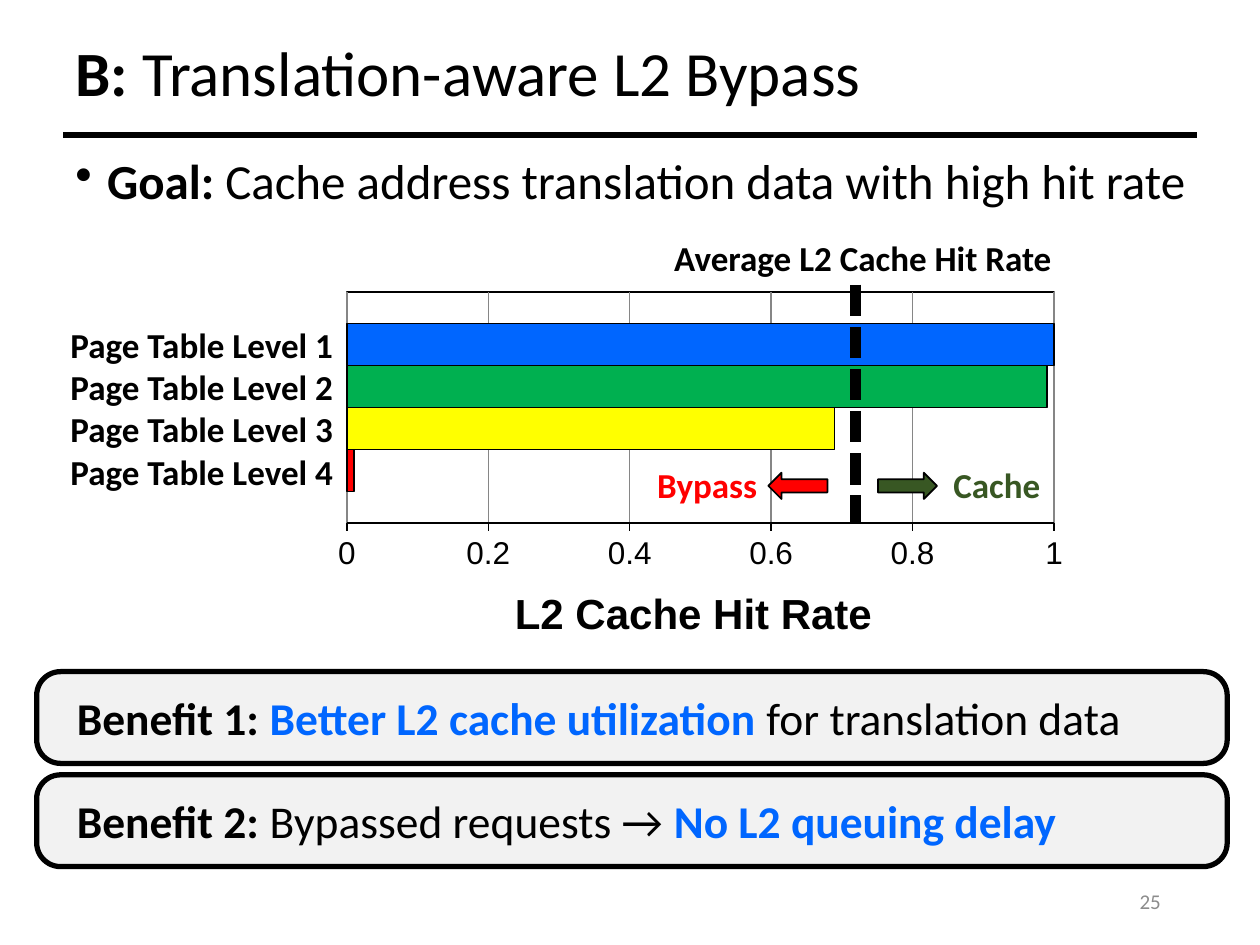
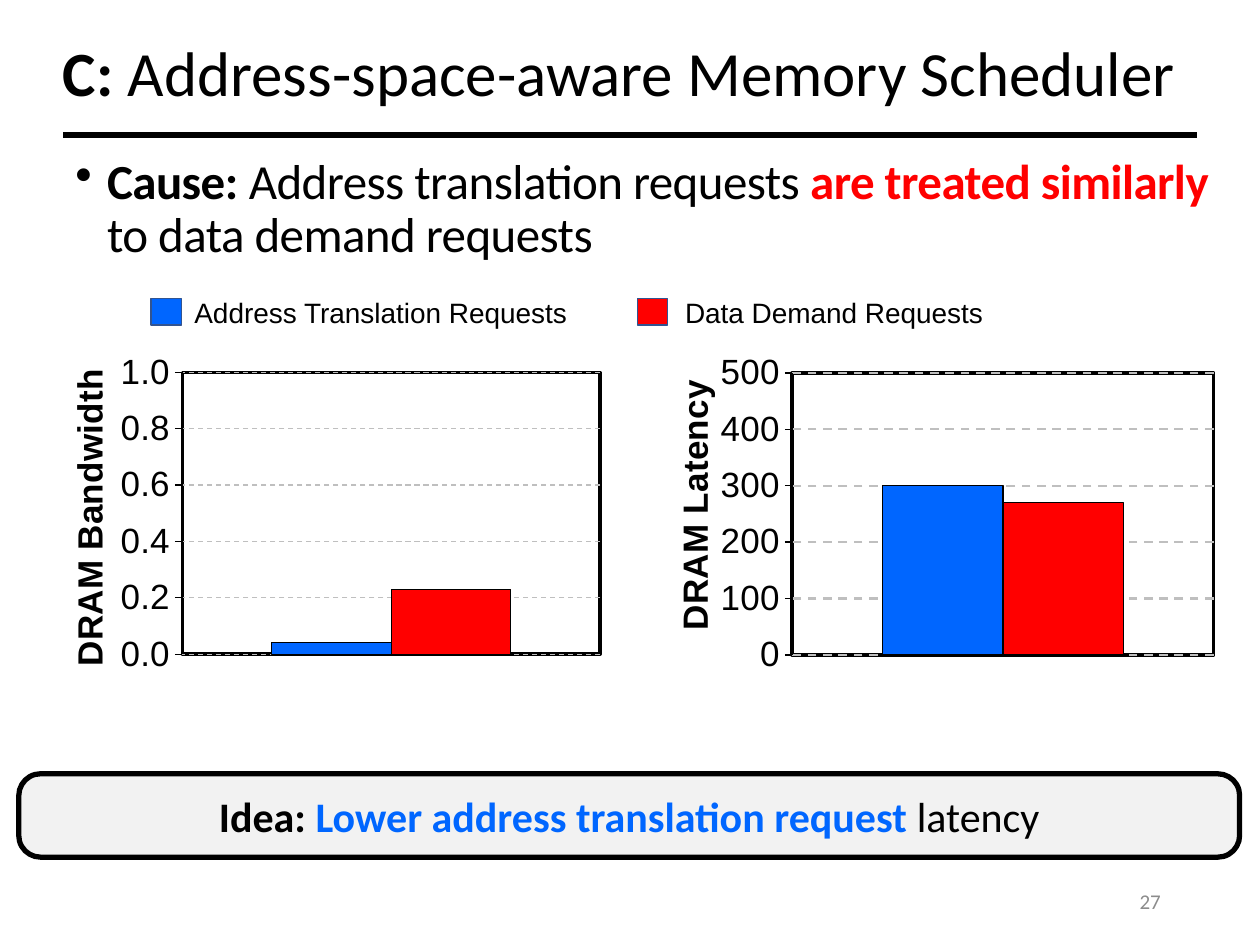
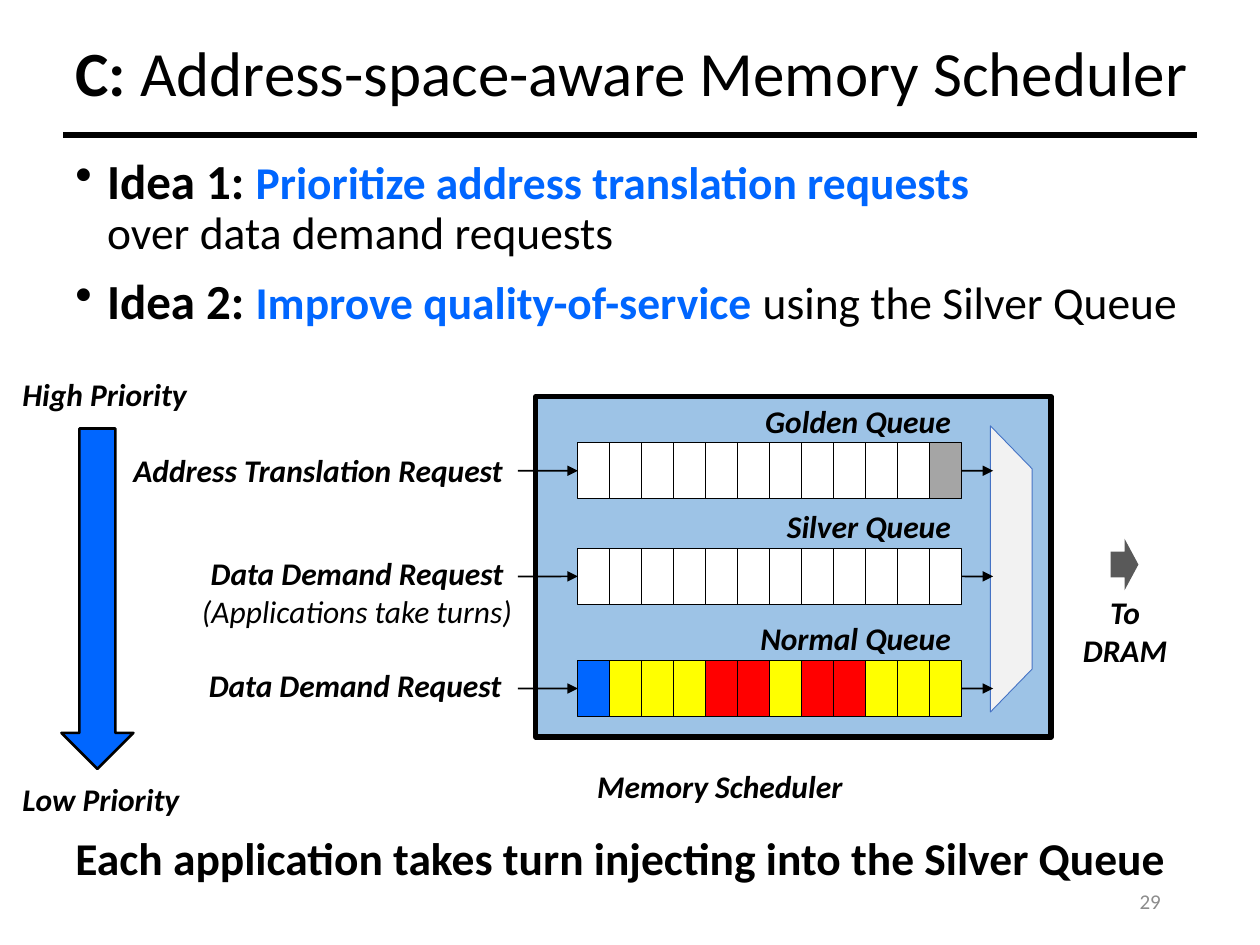
"""Builds three slides on translation-aware caching and memory scheduling."""
from lxml import etree
from pptx import Presentation
from pptx.chart.data import CategoryChartData
from pptx.dml.color import RGBColor
from pptx.enum.chart import XL_CHART_TYPE, XL_TICK_MARK
from pptx.enum.dml import MSO_LINE
from pptx.enum.shapes import MSO_CONNECTOR, MSO_SHAPE, MSO_SHAPE_TYPE
from pptx.enum.text import MSO_ANCHOR, PP_ALIGN
from pptx.oxml import parse_xml
from pptx.oxml.ns import nsdecls, qn
from pptx.util import Cm, Pt

BAR, COLUMN = XL_CHART_TYPE.BAR_CLUSTERED, XL_CHART_TYPE.COLUMN_CLUSTERED
TICK_OUT = XL_TICK_MARK.OUTSIDE
DASH, SHORT_DASH = MSO_LINE.DASH, MSO_LINE.SQUARE_DOT
STRAIGHT, LINE = MSO_CONNECTOR.STRAIGHT, MSO_SHAPE_TYPE.LINE
RECT, ROUNDED, TRAPEZOID = MSO_SHAPE.RECTANGLE, MSO_SHAPE.ROUNDED_RECTANGLE, MSO_SHAPE.TRAPEZOID
LEFT_ARROW, RIGHT_ARROW, DOWN_ARROW = MSO_SHAPE.LEFT_ARROW, MSO_SHAPE.RIGHT_ARROW, MSO_SHAPE.DOWN_ARROW
TOP, MIDDLE = MSO_ANCHOR.TOP, MSO_ANCHOR.MIDDLE
LEFT, CENTER, RIGHT = PP_ALIGN.LEFT, PP_ALIGN.CENTER, PP_ALIGN.RIGHT

BLACK, WHITE, BLUE, RED = "000000", "FFFFFF", "0066FF", "FF0000"
YELLOW, GREEN, DARK_GREEN = "FFFF00", "00B050", "385723"
PANEL, GRAY = "F2F2F2", "A5A5A5"
rgb = RGBColor.from_string


def draw(slide, box, kind=None, fill=None, line=None, weight=1):
    """Add a preset shape, or a text box when no kind is given."""
    place = [Cm(length) for length in box]
    if kind is None:
        return slide.shapes.add_textbox(*place)
    shape = slide.shapes.add_shape(kind, *place)
    shape.shadow.inherit = False
    shape.fill.solid()
    shape.fill.fore_color.rgb = rgb(fill)
    if line:
        shape.line.color.rgb = rgb(line)
        shape.line.width = Pt(weight)
    else:
        shape.line.fill.background()
    return shape


def write(shape, paragraphs, size, font="Calibri", italic=False, align=LEFT, anchor=TOP):
    """Fill a shape with paragraphs of (text, bold, colour[, size]) runs."""
    frame = shape.text_frame
    frame.word_wrap = True
    frame.vertical_anchor = anchor
    for index, runs in enumerate(paragraphs):
        paragraph = frame.add_paragraph() if index else frame.paragraphs[0]
        paragraph.alignment = align
        paragraph.font.name = font
        paragraph.font.size = Pt(size)
        paragraph.font.italic = italic
        for text, bold, color, *own_size in runs:
            if text.startswith("\n"):
                paragraph.add_line_break()
            run = paragraph.add_run()
            run.text = text.lstrip("\n")
            style = paragraph.font if len(runs) == 1 else run.font
            style.bold = bold
            style.color.rgb = rgb(color)
            if own_size:
                run.font.size = Pt(own_size[0])
    return frame


prs = Presentation()
prs.slide_width, prs.slide_height = Cm(25.4), Cm(19.05)

SCHEDULER_TITLE = "Address-space-aware Memory Scheduler"
outline = [
    ("25", "B: ", "Translation-aware L2 Bypass", 1.27, 23.5, 0,
     [[("Goal: ", True, BLACK), ("Cache address translation data with high hit rate", False, BLACK)]]),
    ("27", "C: ", SCHEDULER_TITLE, 1.02, 24.13, -30,
     [[("Cause: ", True, BLACK), ("Address translation requests", False, BLACK),
       (" are treated similarly ", True, RED), ("to data demand requests", False, BLACK)]]),
    ("29", "C: ", SCHEDULER_TITLE, 1.27, 24.13, 0,
     [[("Idea 1: ", True, BLACK), ("Prioritize address translation requests", True, BLUE, 26),
       ("\nover data demand requests", False, BLACK, 26)],
      [("Idea 2: ", True, BLACK), ("Improve quality-of-service", True, BLUE, 26),
       (" using the Silver Queue", False, BLACK, 26)]]),
]
for number, letter, heading, title_left, body_width, tracking, bullets in outline:
    slide = prs.slides.add_slide(prs.slide_layouts[6])
    title = write(draw(slide, (title_left, 0.36, 24.13, 2.36)),
                  [[(letter, True, BLACK), (heading, False, BLACK)]], 36, anchor=MIDDLE)
    title.paragraphs[0].line_spacing = 0.9
    rule = slide.shapes.add_connector(STRAIGHT, Cm(1.27), Cm(2.72), Cm(24.13), Cm(2.72))
    rule.line.color.rgb = rgb(BLACK)
    rule.line.width = Pt(3)
    write(draw(slide, (17.93, 17.65, 5.72, 1.02)), [[(number, False, "8C8C8C")]], 12,
          align=RIGHT, anchor=MIDDLE)
    body = write(draw(slide, (1.27, 3.05, body_width, 15.32)), bullets, 28)
    for paragraph in body.paragraphs:
        paragraph.line_spacing = 0.9
        paragraph.space_before = Pt(10)
        properties = paragraph._p.get_or_add_pPr()
        properties.set("marL", str(Cm(0.64)))
        properties.set("indent", str(-Cm(0.64)))
        properties.find(qn("a:defRPr")).addprevious(
            parse_xml(f'<a:buChar {nsdecls("a")} char="•"/>'))
        if tracking:
            for run in paragraph.runs:
                run.font._element.set("spc", str(tracking))
bypass, cause, queues = prs.slides

charts = [
    (bypass, BAR, (4.95, 5.38, 17.93, 8), (0.114, 0.064, 0.795, 0.582), 1,
     [(0.01, RED), (0.69, YELLOW), (0.99, GREEN), (1, BLUE)],
     1, 0.2, "General", 18, ("868686", 0.75, None), None, None),
    (cause, COLUMN, (12.7, 6.55, 12.07, 7.59), (0.271, 0.128, 0.704, 0.749), 2,
     [(300, BLUE), (270, RED)],
     500, 100, "General", 20, ("BFBFBF", 1.25, DASH), "DRAM Latency", (0.06, 0.13)),
    (cause, COLUMN, (0.38, 6.12, 12.07, 7.98), (0.273, 0.174, 0.698, 0.712), 2,
     [(0.04, BLUE), (0.23, RED)],
     1, 0.2, "#,##0.0", 20, ("BFBFBF", 0.75, DASH), "DRAM Bandwidth", (0.07, 0.15)),
]
for (slide, kind, box, plot_place, border, bars, maximum, step, number_format, size,
     (grid_color, grid_weight, grid_dash), axis_name, name_place) in charts:
    data = CategoryChartData()
    data.categories = ["1"]
    for index, (value, color) in enumerate(bars, 1):
        data.add_series(f"Series {index}", [value])
    chart = slide.shapes.add_chart(kind, *map(Cm, box), data).chart
    chart.has_title = chart.has_legend = False
    chart.font.name, chart.font.size = "Calibri", Pt(10)
    chart.font.color.rgb = rgb(BLACK)
    chart.category_axis.visible = False
    plot = chart.plots[0]
    plot.gap_width, plot.overlap, plot.vary_by_categories = 150, 0, False
    for series, (value, color) in zip(plot.series, bars):
        series.format.fill.solid()
        series.format.fill.fore_color.rgb = rgb(color)
        series.format.line.color.rgb = rgb(BLACK)
        series.format.line.width = Pt(0.75)
    axis = chart.value_axis
    axis.minimum_scale, axis.maximum_scale, axis.major_unit = 0, maximum, step
    axis.major_tick_mark = TICK_OUT
    axis.format.line.color.rgb = rgb(BLACK)
    axis.format.line.width = Pt(0.75)
    axis.tick_labels.font.name, axis.tick_labels.font.size = "Arial", Pt(size)
    axis.tick_labels.number_format = number_format
    axis.tick_labels.number_format_is_linked = False
    grid = axis.major_gridlines.format.line
    grid.color.rgb = rgb(grid_color)
    grid.width = Pt(grid_weight)
    if grid_dash:
        grid.dash_style = grid_dash
    plot_area = chart._chartSpace.chart.plotArea
    plot_area.append(parse_xml(
        f'<c:spPr {nsdecls("c", "a")}><a:noFill/><a:ln w="{Pt(border)}"><a:solidFill>'
        f'<a:srgbClr val="{BLACK}"/></a:solidFill></a:ln></c:spPr>'))
    placed = [(plot_area, 0, plot_place)]
    if axis_name:
        name = axis.axis_title.text_frame.paragraphs[0]
        name.add_run().text = axis_name
        name.font.name, name.font.size, name.font.bold = "Arial", Pt(20), True
        name_element = axis.axis_title._element
        name_element.find(".//" + qn("a:bodyPr")).set("rot", "-5400000")
        placed.append((name_element, 1, name_place))
    for element, position, place in placed:
        for old_layout in element.findall(qn("c:layout")):
            element.remove(old_layout)
        layout = etree.Element(qn("c:layout"))
        manual = etree.SubElement(layout, qn("c:manualLayout"))
        settings = [("xMode", "edge"), ("yMode", "edge"), *zip("xywh", place)]
        if element is plot_area:
            settings.insert(0, ("layoutTarget", "inner"))
        for tag, value in settings:
            etree.SubElement(manual, qn(f"c:{tag}")).set("val", str(value))
        element.insert(position, layout)

for level in range(4):
    write(draw(bypass, (1.17, 6.4 + 0.85 * level, 6.02, 1.12)),
          [[(f"Page Table Level {level + 1}", True, BLACK)]], 20)
for text, left, top, width, color in [
    ("Average L2 Cache Hit Rate", 13.34, 4.65, 8.38, BLACK),
    ("Bypass", 13, 9.22, 4, RED),
    ("Cache", 18.97, 9.22, 4, DARK_GREEN),
]:
    write(draw(bypass, (left, top, width, 1.12)), [[(text, True, color)]], 20)
write(draw(bypass, (10.13, 11.71, 8.86, 1.27)), [[("L2 Cache Hit Rate", True, BLACK)]], 24, "Arial")
average = bypass.shapes.add_connector(STRAIGHT, Cm(17.25), Cm(5.74), Cm(17.25), Cm(10.52))
average.line.color.rgb = rgb(BLACK)
average.line.width = Pt(6)
average.line.dash_style = SHORT_DASH
draw(bypass, (17.7, 9.53, 1.19, 0.53), RIGHT_ARROW, DARK_GREEN, BLACK)
draw(bypass, (15.49, 9.53, 1.19, 0.53), LEFT_ARROW, RED, BLACK)

benefits = [
    [("Benefit 1: ", True, BLACK), ("Better L2 cache utilization ", True, BLUE),
     ("for translation data", False, BLACK)],
    [("Benefit 2: ", True, BLACK), ("Bypassed requests → ", False, BLACK),
     ("No L2 queuing delay", True, BLUE)],
]
for index, benefit in enumerate(benefits):
    panel = draw(bypass, (0.74, 13.54 + 2.08 * index, 24, 1.85), ROUNDED, PANEL, BLACK, 3)
    panel.adjustments[0] = 0.26
    write(panel, [benefit], 26, anchor=MIDDLE).margin_left = Cm(0.67)

for text, color, swatch_left, label_left in [
    ("Address Translation Requests", BLUE, 3.05, 3.28),
    ("Data Demand Requests", RED, 12.85, 12.42),
]:
    draw(cause, (swatch_left, 6.02, 0.61, 0.53), RECT, color, "325491")
    write(draw(cause, (label_left, 5.84, 8.79, 0.94)), [[(text, False, BLACK)]], 16, "Arial",
          align=CENTER)
idea = draw(cause, (0.38, 15.6, 24.61, 1.68), ROUNDED, PANEL, BLACK, 3)
idea.adjustments[0] = 0.26
write(idea, [[("Idea: ", True, BLACK), ("Lower address translation request ", True, BLUE),
              ("latency", False, BLACK)]], 24, align=CENTER, anchor=MIDDLE)

draw(queues, (10.8, 8, 10.39, 6.86), RECT, "9DC3E6", BLACK, 3)
draw(queues, (22.15, 11.1, 1.04, 0.56), DOWN_ARROW, "595959").rotation = 270
selector = draw(queues, (17.5, 11.05, 5.77, 0.84), TRAPEZOID, PANEL, "4472C4", 0.5)
selector.adjustments[0] = 1.03
selector.rotation = 90
draw(queues, (1.24, 8.64, 1.45, 6.86), DOWN_ARROW, BLUE, BLACK, 1.5)

QUEUE_LEFT, CELL_WIDTH, CELL_HEIGHT = 11.65, 7.74 / 12, 1.14
for queue, top, colors in [
    ("Golden Queue", 8.92, [WHITE] * 11 + [GRAY]),
    ("Silver Queue", 11.05, [WHITE] * 12),
    ("Normal Queue", 13.31, [BLUE] + [YELLOW] * 3 + [RED] * 2 + [YELLOW] + [RED] * 2 + [YELLOW] * 3),
]:
    cells = [draw(queues, (QUEUE_LEFT + CELL_WIDTH * index, top, CELL_WIDTH, CELL_HEIGHT),
                  RECT, color, BLACK, 0.5) for index, color in enumerate(colors)]
    write(draw(queues, (15.02, top - 0.95, 4.4, 1.02)), [[(queue, True, BLACK)]], 18,
          italic=True, align=RIGHT)
    middle = Cm(top + CELL_HEIGHT / 2)
    arrival = queues.shapes.add_connector(STRAIGHT, Cm(10.44), middle, Cm(QUEUE_LEFT), middle)
    arrival.end_connect(cells[0], 1)
    departure = queues.shapes.add_connector(STRAIGHT, Cm(19.39), middle, Cm(20.02), middle)
    departure.begin_connect(cells[-1], 3)
    for arrow in (arrival, departure):
        arrow.line.color.rgb = rgb(BLACK)
        arrow.line.width = Pt(1)
        etree.SubElement(arrow.line._get_or_add_ln(), qn("a:tailEnd")).set("type", "triangle")

for box, lines, align in [
    ((0.2, 7.44, 4.2, 1.02), [("High Priority", True)], LEFT),
    ((0.2, 15.6, 4.2, 1.02), [("Low Priority", True)], LEFT),
    ((2.44, 8.97, 8.2, 1.02), [("Address Translation Request", True)], LEFT),
    ((3.53, 11.05, 7.34, 1.8), [("Data Demand Request", True), ("(Applications take turns)", False)], CENTER),
    ((3.96, 13.31, 6.6, 1.02), [("Data Demand Request", True)], LEFT),
    ((11.79, 15.34, 5.66, 0.84), [("Memory Scheduler", True)], LEFT),
    ((21.18, 11.84, 3, 1.47), [("To", True), ("DRAM", True)], CENTER),
]:
    write(draw(queues, box), [[(text, bold, BLACK)] for text, bold in lines], 18,
          italic=True, align=align)
write(draw(queues, (1.09, 16.36, 22.86, 1.83)),
      [[("Each application takes turn injecting into the Silver Queue", True, BLACK)]], 26,
      align=CENTER, anchor=MIDDLE)

for slide in prs.slides:
    for shape in slide.shapes:
        if shape.shape_type == LINE:
            etree.SubElement(shape._element.spPr, qn("a:effectLst"))

prs.save("out.pptx")
